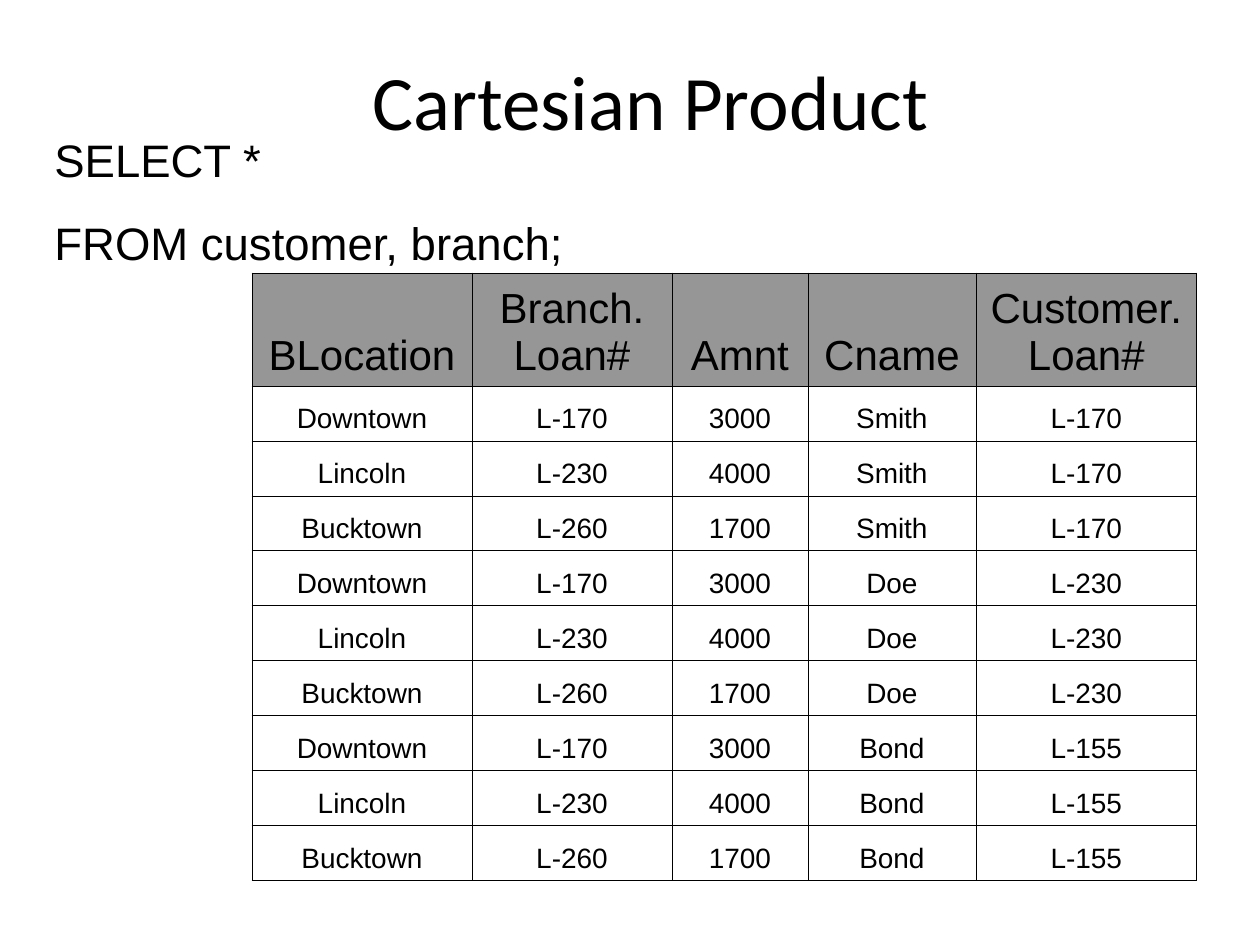
from itertools import product

from lxml.etree import SubElement
from pptx import Presentation
from pptx.dml.color import RGBColor
from pptx.enum.text import MSO_ANCHOR, MSO_AUTO_SIZE, PP_ALIGN
from pptx.oxml.ns import qn
from pptx.util import Pt

PX = 914400 // 126
BLACK = RGBColor(0x00, 0x00, 0x00)
GREY = RGBColor(0x96, 0x96, 0x96)

HEADERS = ["BLocation", "Branch.\nLoan#", "Amnt", "Cname", "Customer.\nLoan#"]
BRANCHES = [("Downtown", "L-170", "3000"),
            ("Lincoln", "L-230", "4000"),
            ("Bucktown", "L-260", "1700")]
CUSTOMERS = [("Smith", "L-170"), ("Doe", "L-230"), ("Bond", "L-155")]
COLUMN_WIDTHS = [220, 200, 136, 168, 221]
HEADER_HEIGHT = 113
QUERY = "SELECT *\nFROM customer, branch;"


def emu(box):
    return [n * PX for n in box]


def write(tf, text, size, font="Arial", align=None, space_before=None):
    tf.text = text
    for p in tf.paragraphs:
        p.alignment = align
        p.space_before = space_before
        p.font.size = Pt(size)
        p.font.name = font
        p.font.color.rgb = BLACK


def add_title(s, box):
    title = s.shapes.title
    title.left, title.top, title.width, title.height = emu(box)
    title.text_frame.vertical_anchor = MSO_ANCHOR.MIDDLE
    write(title.text_frame, "Cartesian Product", 44, "Calibri", PP_ALIGN.CENTER)


def add_query(s, box):
    tf = s.shapes.add_textbox(*emu(box)).text_frame
    tf.word_wrap = True
    tf.auto_size = MSO_AUTO_SIZE.SHAPE_TO_FIT_TEXT
    write(tf, QUERY, 26, space_before=Pt(16.2))


def add_borders(cell):
    tcPr = cell._tc.get_or_add_tcPr()
    for side in ("lnL", "lnR", "lnT", "lnB"):
        ln = SubElement(tcPr, qn(f"a:{side}"), w=str(Pt(0.45)))
        fill = SubElement(ln, qn("a:solidFill"))
        SubElement(fill, qn("a:srgbClr"), val=str(BLACK))


def add_product_table(s, box):
    rows = [HEADERS] + [b + c for c, b in product(CUSTOMERS, BRANCHES)]
    table = s.shapes.add_table(len(rows), len(HEADERS), *emu(box)).table
    table.first_row = table.horz_banding = False
    for column, width in zip(table.columns, COLUMN_WIDTHS):
        column.width = width * PX
    row_height = (box[3] - HEADER_HEIGHT) // (len(rows) - 1)

    for i, values in enumerate(rows):
        is_header = i == 0
        table.rows[i].height = (HEADER_HEIGHT if is_header else row_height) * PX
        for j, value in enumerate(values):
            cell = table.cell(i, j)
            cell.vertical_anchor = MSO_ANCHOR.BOTTOM
            add_borders(cell)
            if is_header:
                cell.fill.solid()
                cell.fill.fore_color.rgb = GREY
            else:
                cell.fill.background()
            write(cell.text_frame, value, 24 if is_header else 16,
                  align=PP_ALIGN.CENTER)


def main():
    prs = Presentation()
    prs.slide_width, prs.slide_height = emu((1260, 945))
    s = prs.slides.add_slide(prs.slide_layouts[5])
    add_title(s, (84, 21, 1134, 158))
    add_product_table(s, (252, 273, sum(COLUMN_WIDTHS), 608))
    add_query(s, (42, 126, 557, 150))
    prs.save("out.pptx")


if __name__ == "__main__":
    main()
